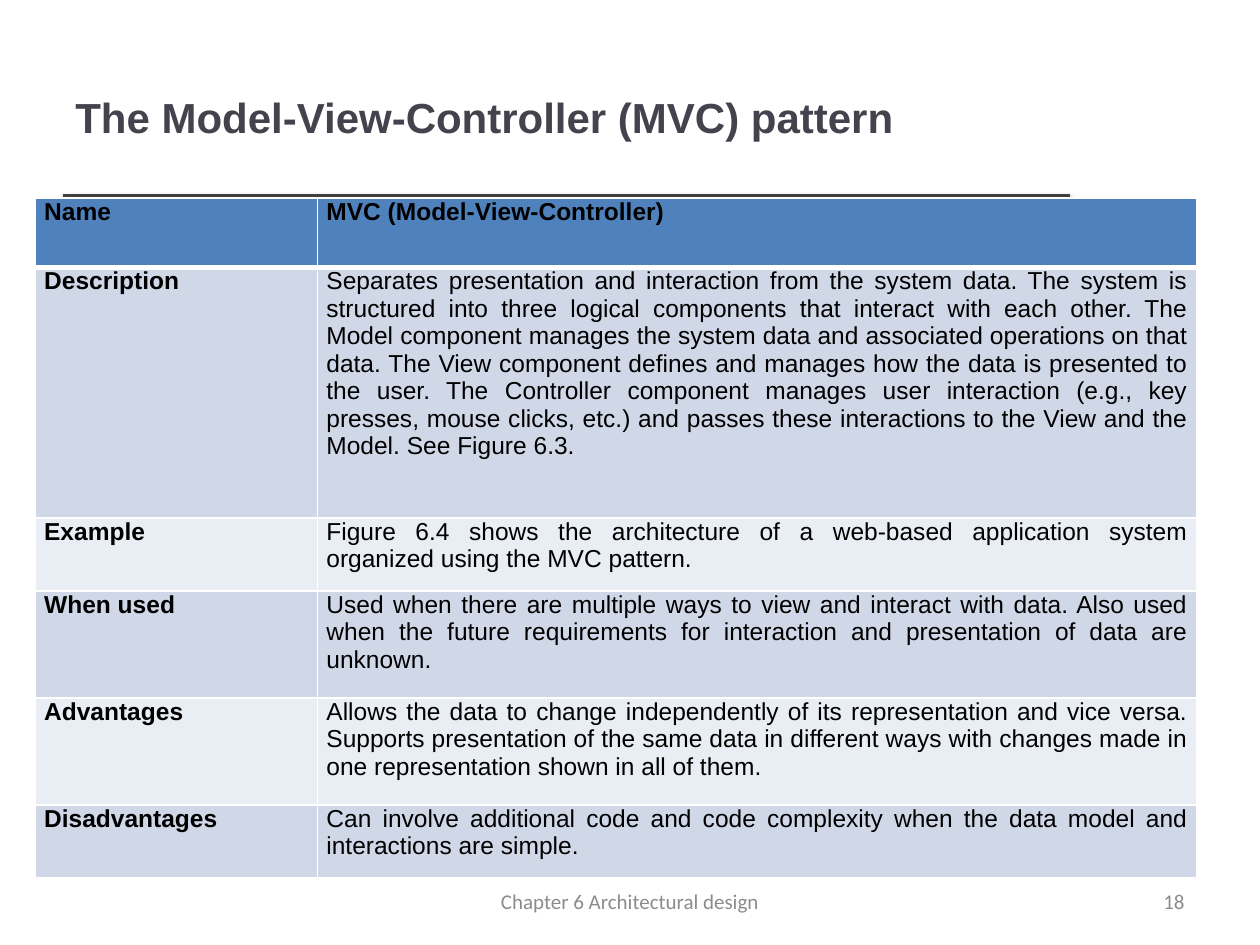
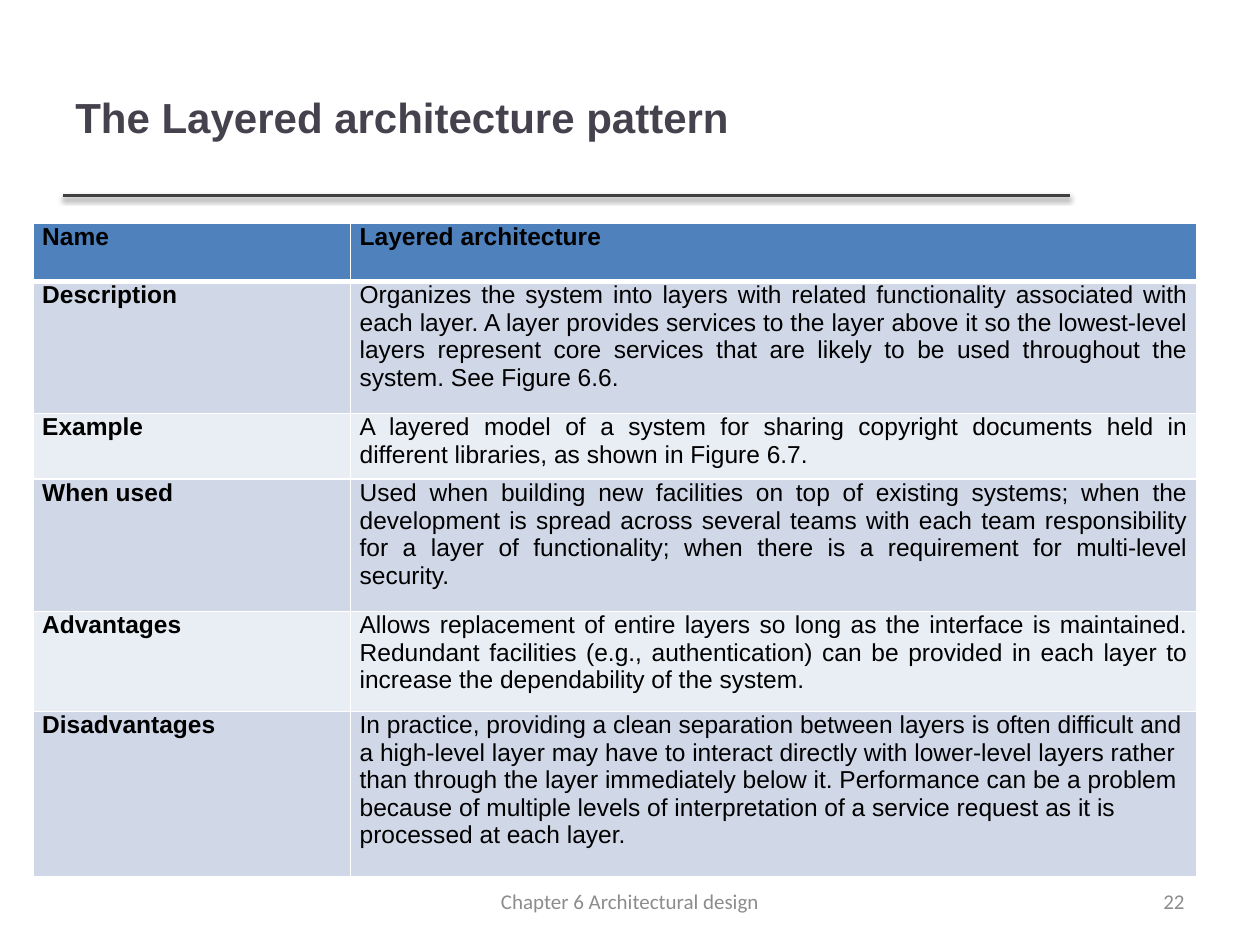
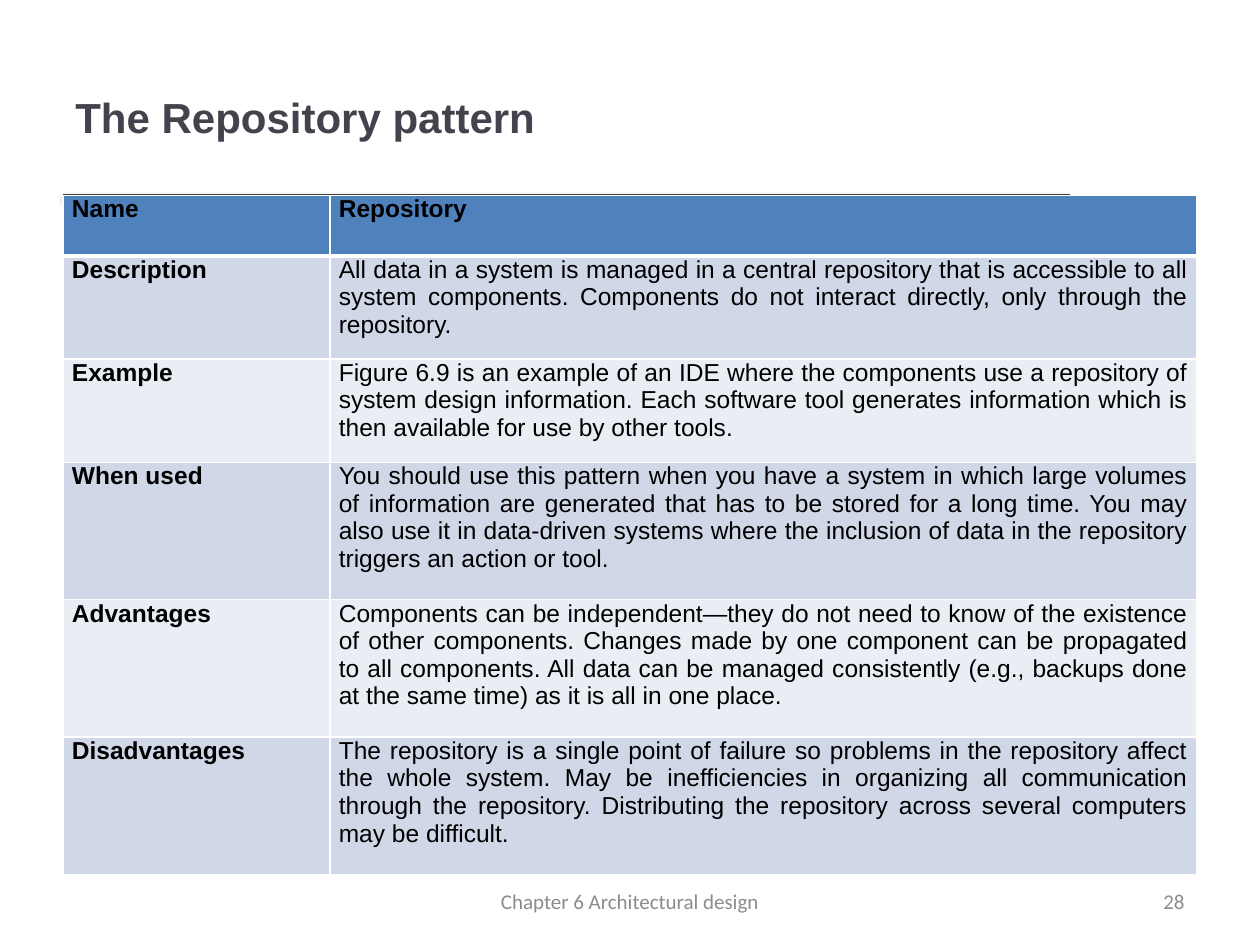
from dataclasses import dataclass

from lxml import etree
from pptx import Presentation
from pptx.dml.color import RGBColor
from pptx.enum.shapes import MSO_CONNECTOR
from pptx.enum.text import MSO_ANCHOR, PP_ALIGN
from pptx.oxml.ns import qn
from pptx.util import Cm, Pt

LEFT, CENTER, RIGHT, JUSTIFY = PP_ALIGN.LEFT, PP_ALIGN.CENTER, PP_ALIGN.RIGHT, PP_ALIGN.JUSTIFY
MIDDLE, TOP = MSO_ANCHOR.MIDDLE, MSO_ANCHOR.TOP
STRAIGHT = MSO_CONNECTOR.STRAIGHT

# Shared colours, in hex
TITLE_COLOR, RULE_COLOR, FOOTER_COLOR = "46424D", "404040", "8C8C8C"
HEADER_FILL, BAND_FILLS = "4F81BD", ("E9EDF4", "D0D8E8")
TEXT_COLOR, BORDER_COLOR = "000000", "FFFFFF"

# Shared positions, in centimetres
MARGIN, TABLE_RIGHT = 1.27, 24.13
TITLE_TOP, RULE_TOP, RULE_RIGHT = 0.76, 3.94, 21.56
FOOTER_TOP, FOOTER_HEIGHT = 17.65, 1.02
CELL_INSET = 0.18

FOOTER = "Chapter 6 Architectural design"
LABELS = ("Name", "Description", "Example", "When used", "Advantages", "Disadvantages")


@dataclass
class TextStyle:
    size: float
    font: str
    color: str
    bold: bool = False
    align: PP_ALIGN = LEFT


@dataclass
class Pattern:
    title: str
    number: int
    left: float
    top: float
    label_width: float
    row_heights: tuple[float, ...]
    entries: tuple[str, ...]
    last_align: PP_ALIGN = JUSTIFY


TITLE_STYLE = TextStyle(24, "Arial", TITLE_COLOR, bold=True)
LABEL_STYLE = TextStyle(14, "Arial", TEXT_COLOR, bold=True, align=JUSTIFY)
ENTRY_STYLE = TextStyle(14, "Arial", TEXT_COLOR, align=JUSTIFY)
LAST_LEFT_STYLE = TextStyle(14, "Arial", TEXT_COLOR)
FOOTER_STYLE = TextStyle(12, "Calibri", FOOTER_COLOR, align=CENTER)
NUMBER_STYLE = TextStyle(12, "Calibri", FOOTER_COLOR, align=RIGHT)

PATTERNS = (
    Pattern(
        "The Model-View-Controller (MVC) pattern", 18, 0.71, 3.99, 5.69,
        (1.4, 5.05, 1.47, 2.16, 2.16, 1.47),
        (
            "MVC (Model-View-Controller)",
            "Separates presentation and interaction from the system data. The system is "
            "structured into three logical components that interact with each other. The "
            "Model component manages the system data and associated operations on that "
            "data. The View component defines and manages how the data is presented to "
            "the user. The Controller component manages user interaction (e.g., key "
            "presses, mouse clicks, etc.) and passes these interactions to the View and "
            "the Model. See Figure 6.3.",
            "Figure 6.4 shows the architecture of a web-based application system "
            "organized using the MVC pattern.",
            "Used when there are multiple ways to view and interact with data. Also used "
            "when the future requirements for interaction and presentation of data are "
            "unknown.",
            "Allows the data to change independently of its representation and vice versa. "
            "Supports presentation of the same data in different ways with changes made in "
            "one representation shown in all of them.",
            "Can involve additional code and code complexity when the data model and "
            "interactions are simple.",
        ),
    ),
    Pattern(
        "The Layered architecture pattern", 22, 0.67, 4.5, 6.4,
        (1.17, 2.67, 1.32, 2.67, 2.01, 3.33),
        (
            "Layered architecture",
            "Organizes the system into layers with related functionality associated with "
            "each layer. A layer provides services to the layer above it so the "
            "lowest-level layers represent core services that are likely to be used "
            "throughout the system. See Figure 6.6.",
            "A layered model of a system for sharing copyright documents held in "
            "different libraries, as shown in Figure 6.7.",
            "Used when building new facilities on top of existing systems; when the "
            "development is spread across several teams with each team responsibility "
            "for a layer of functionality; when there is a requirement for multi-level "
            "security.",
            "Allows replacement of entire layers so long as the interface is maintained. "
            "Redundant facilities (e.g., authentication) can be provided in each layer to "
            "increase the dependability of the system.",
            "In practice, providing a clean separation between layers is often difficult "
            "and a high-level layer may have to interact directly with lower-level layers "
            "rather than through the layer immediately below it. Performance can be a "
            "problem because of multiple levels of interpretation of a service request as "
            "it is processed at each layer.",
        ),
        last_align=LEFT,
    ),
    Pattern(
        "The Repository pattern", 28, MARGIN, 3.94, 5.38,
        (1.22, 2.08, 2.08, 2.77, 2.77, 2.77),
        (
            "Repository",
            "All data in a system is managed in a central repository that is accessible "
            "to all system components. Components do not interact directly, only through "
            "the repository.",
            "Figure 6.9 is an example of an IDE where the components use a repository of "
            "system design information. Each software tool generates information which is "
            "then available for use by other tools.",
            "You should use this pattern when you have a system in which large volumes of "
            "information are generated that has to be stored for a long time. You may "
            "also use it in data-driven systems where the inclusion of data in the "
            "repository triggers an action or tool.",
            "Components can be independent—they do not need to know of the existence of "
            "other components. Changes made by one component can be propagated to all "
            "components. All data can be managed consistently (e.g., backups done at the "
            "same time) as it is all in one place.",
            "The repository is a single point of failure so problems in the repository "
            "affect the whole system. May be inefficiencies in organizing all "
            "communication through the repository. Distributing the repository across "
            "several computers may be difficult.",
        ),
    ),
)


def rgb(color: str) -> RGBColor:
    return RGBColor.from_string(color)


def write(frame, text: str, style: TextStyle) -> None:
    frame.text = text
    para = frame.paragraphs[0]
    para.alignment = style.align
    for span in para.runs:
        span.font.size = Pt(style.size)
        span.font.name = style.font
        span.font.bold = style.bold
        span.font.color.rgb = rgb(style.color)


def add_text(page, left: float, top: float, width: float, height: float,
             text: str, style: TextStyle) -> None:
    box = page.shapes.add_textbox(Cm(left), Cm(top), Cm(width), Cm(height))
    box.text_frame.word_wrap = True
    box.text_frame.vertical_anchor = MIDDLE
    write(box.text_frame, text, style)


def add_title_rule(page) -> None:
    rule = page.shapes.add_connector(
        STRAIGHT, Cm(MARGIN), Cm(RULE_TOP), Cm(RULE_RIGHT), Cm(RULE_TOP))
    rule.line.color.rgb = rgb(RULE_COLOR)
    rule.line.width = Pt(2)
    # Soft shadow straight below the rule
    effects = etree.SubElement(rule._element.spPr, qn("a:effectLst"))
    shadow = etree.SubElement(
        effects, qn("a:outerShdw"), blurRad=str(Pt(3.1)), dist=str(Pt(1.6)),
        dir="5400000", rotWithShape="0")
    shade = etree.SubElement(shadow, qn("a:srgbClr"), val="000000")
    etree.SubElement(shade, qn("a:alpha"), val="38000")


def set_borders(cell, top: float, bottom: float) -> None:
    properties = cell._tc.get_or_add_tcPr()
    for side, width in (("L", 1), ("R", 1), ("T", top), ("B", bottom)):
        line = etree.SubElement(properties, qn(f"a:ln{side}"), w=str(Pt(width)))
        fill = etree.SubElement(line, qn("a:solidFill"))
        etree.SubElement(fill, qn("a:srgbClr"), val=BORDER_COLOR)


def fill_cell(cell, row: int, text: str, style: TextStyle) -> None:
    cell.margin_left = cell.margin_right = Cm(CELL_INSET)
    cell.margin_top = cell.margin_bottom = 0
    cell.vertical_anchor = TOP
    set_borders(cell, top=3 if row == 1 else 1, bottom=3 if row == 0 else 1)
    cell.fill.solid()
    cell.fill.fore_color.rgb = rgb(HEADER_FILL if row == 0 else BAND_FILLS[row % 2])
    write(cell.text_frame, text, style)


def add_pattern_table(page, pattern: Pattern) -> None:
    width = TABLE_RIGHT - pattern.left
    table = page.shapes.add_table(
        len(LABELS), 2, Cm(pattern.left), Cm(pattern.top),
        Cm(width), Cm(sum(pattern.row_heights))).table
    table.first_row = table.horz_banding = False
    table.columns[0].width = Cm(pattern.label_width)
    table.columns[1].width = Cm(width - pattern.label_width)

    last = len(LABELS) - 1
    for row, (label, entry) in enumerate(zip(LABELS, pattern.entries)):
        table.rows[row].height = Cm(pattern.row_heights[row])
        style = LABEL_STYLE if row == 0 else ENTRY_STYLE
        if row == last and pattern.last_align == LEFT:
            style = LAST_LEFT_STYLE
        fill_cell(table.cell(row, 0), row, label, LABEL_STYLE)
        fill_cell(table.cell(row, 1), row, entry, style)


def add_pattern_page(deck, pattern: Pattern) -> None:
    page = deck.slides.add_slide(deck.slide_layouts[6])
    # Title and rule
    add_title_rule(page)
    add_text(page, MARGIN, TITLE_TOP, RULE_RIGHT - MARGIN, RULE_TOP - TITLE_TOP,
             pattern.title, TITLE_STYLE)
    # Pattern description
    add_pattern_table(page, pattern)
    # Footer
    add_text(page, 18.2, FOOTER_TOP, 5.93, FOOTER_HEIGHT, str(pattern.number), NUMBER_STYLE)
    add_text(page, 8.68, FOOTER_TOP, 8.04, FOOTER_HEIGHT, FOOTER, FOOTER_STYLE)


def main() -> None:
    deck = Presentation()
    deck.slide_width, deck.slide_height = Cm(25.4), Cm(19.05)
    for pattern in PATTERNS:
        add_pattern_page(deck, pattern)
    deck.save("out.pptx")


if __name__ == "__main__":
    main()
